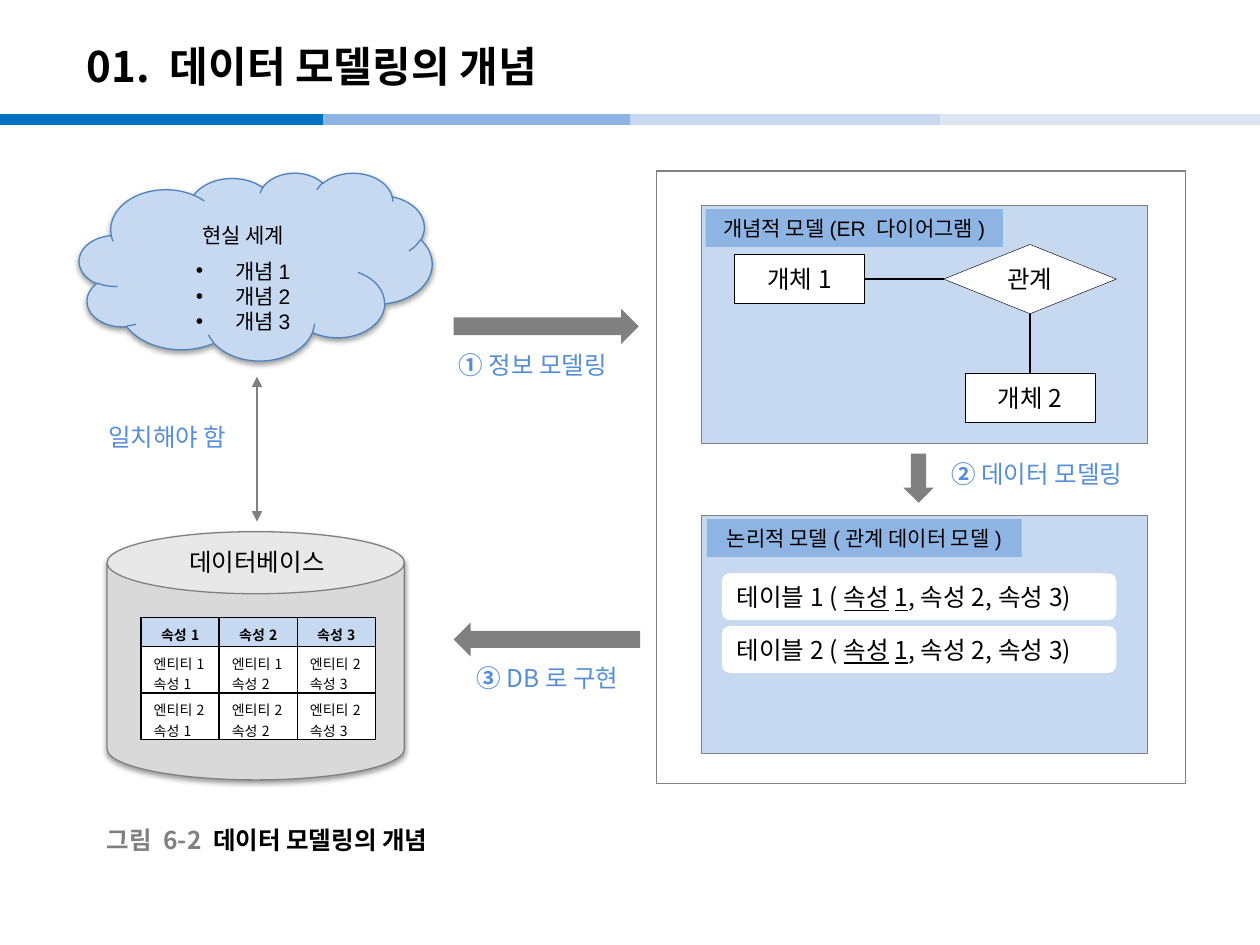
from lxml.etree import SubElement
from pptx import Presentation
from pptx.dml.color import RGBColor
from pptx.enum.shapes import MSO_CONNECTOR, MSO_SHAPE
from pptx.enum.text import MSO_ANCHOR, PP_ALIGN
from pptx.oxml import parse_xml
from pptx.oxml.ns import nsdecls, qn
from pptx.util import Inches, Pt

INK = {name: RGBColor.from_string(code) for name, code in {
    "black": "000000", "white": "FFFFFF", "gray": "808080", "silver": "D9D9D9",
    "navy": "0070C0", "blue": "8EB4E3", "pale": "C6D9F1", "ice": "DCE6F2",
    "label": "558ED5", "edge": "4F81BD"}.items()}
SANS = "Noto Sans CJK KR"
LEFT, MID = PP_ALIGN.LEFT, PP_ALIGN.CENTER


def write(par, text, size=14, ink="black", bold=False, align=LEFT, face=SANS):
    par.text = text
    par.alignment = align
    font = par.font
    font.name, font.size, font.bold = face, Pt(size), bold
    font.color.rgb = INK[ink]
    base = par._p.pPr.find(qn("a:defRPr"))
    SubElement(base, qn("a:ea")).set("typeface", SANS)


def box(kind, at, fill="white", line=None, width=0.75, shade=False):
    item = slide.shapes.add_shape(kind, *map(Inches, at))
    item.shadow.inherit = False
    item.fill.solid()
    item.fill.fore_color.rgb = INK[fill]
    if line:
        item.line.color.rgb = INK[line]
        item.line.width = Pt(width)
    else:
        item.line.fill.background()
    if shade:
        item._element.spPr.find(qn("a:effectLst")).append(parse_xml(
            f'<a:outerShdw {nsdecls("a")} blurRad="39400" dist="20300" dir="5400000" '
            'rotWithShape="0"><a:srgbClr val="000000"><a:alpha val="38000"/>'
            '</a:srgbClr></a:outerShdw>'))
    item.text_frame.word_wrap = True
    return item


deck = Presentation()
deck.slide_width, deck.slide_height = Inches(10), Inches(7.5)
slide = deck.slides.add_slide(deck.slide_layouts[5])

title = slide.shapes.title
title.left, title.top, title.width, title.height = map(Inches, (0.59, 0.22, 8.27, 0.6))
title.text_frame.vertical_anchor = MSO_ANCHOR.MIDDLE
write(title.text_frame.paragraphs[0], "01. 데이터 모델링의 개념", 24, bold=True)

wires = [((0, 0.95), (2.56, 0.95), "navy", 6),
         ((2.56, 0.95), (5, 0.95), "blue", 6),
         ((5, 0.95), (7.46, 0.95), "pale", 6),
         ((7.46, 0.95), (10, 0.95), "ice", 6),
         ((2.04, 2.99), (2.04, 4.14), "gray", 1.5),
         ((6.86, 2.21), (7.49, 2.21), "black", 0.75),
         ((8.17, 2.49), (8.17, 2.96), "black", 0.75)]

box(MSO_SHAPE.RECTANGLE, (5.21, 1.36, 4.2, 4.86), "white", "gray", 1)
for top in (1.63, 4.09):
    box(MSO_SHAPE.RECTANGLE, (5.57, top, 3.54, 1.89), "pale", "gray")
box(MSO_SHAPE.CAN, (0.85, 4.22, 2.36, 1.97), "silver", "gray", shade=True)

box(MSO_SHAPE.RIGHT_ARROW, (3.6, 2.45, 1.47, 0.28), "gray")
box(MSO_SHAPE.RIGHT_ARROW, (3.6, 4.94, 1.48, 0.27), "gray").rotation = 180
box(MSO_SHAPE.DOWN_ARROW, (7.17, 3.6, 0.24, 0.39), "gray")

nodes = []
for kind, at, text in [
        (MSO_SHAPE.RECTANGLE, (5.83, 2.02, 1.03, 0.39), "개체1"),
        (MSO_SHAPE.FLOWCHART_DECISION, (7.49, 1.94, 1.37, 0.55), "관계"),
        (MSO_SHAPE.RECTANGLE, (7.66, 2.96, 1.03, 0.39), "개체2")]:
    node = box(kind, at, "white", "black", 0.25)
    write(node.text_frame.paragraphs[0], text, align=MID)
    nodes.append(node)

lines = []
for start, end, ink, width in wires:
    wire = slide.shapes.add_connector(
        MSO_CONNECTOR.STRAIGHT, *map(Inches, start + end))
    wire.line.color.rgb = INK[ink]
    wire.line.width = Pt(width)
    SubElement(wire._element.spPr, qn("a:effectLst"))
    lines.append(wire)
first, link, second = nodes
lines[5].begin_connect(first, 3)
lines[5].end_connect(link, 1)
lines[6].begin_connect(link, 2)
lines[6].end_connect(second, 0)
for end in ("a:headEnd", "a:tailEnd"):
    SubElement(lines[4].line._get_or_add_ln(), qn(end)).set("type", "triangle")

for at, text in [((5.6, 1.66, 2.36, 0.3), "개념적 모델(ER 다이어그램)"),
                 ((5.61, 4.12, 2.5, 0.3), "논리적 모델(관계 데이터 모델)")]:
    tag = box(MSO_SHAPE.RECTANGLE, at, "blue")
    tag.text_frame.word_wrap = False
    write(tag.text_frame.paragraphs[0], text, 12, align=MID, face="Arial")

for num in (1, 2):
    row = box(MSO_SHAPE.ROUNDED_RECTANGLE, (5.73, 4.13 + 0.42 * num, 3.13, 0.37))
    par = row.text_frame.paragraphs[0]
    write(par, f"테이블{num} (")
    key = par.add_run()
    key.text = "속성1"
    key.font.underline = True
    par.add_run().text = ",속성2,속성3)"

for at, mark, text in [((3.54, 2.73, 1.51, 0.34), "① ", "정보 모델링"),
                       ((7.45, 3.59, 1.7, 0.34), "② ", "데이터 모델링"),
                       ((3.68, 5.21, 1.75, 0.34), "③ ", "DB로 구현"),
                       ((0.75, 6.51, 2.8, 0.31), "그림 6-2 ", "데이터 모델링의 개념")]:
    note = slide.shapes.add_textbox(*map(Inches, at)).text_frame
    note.word_wrap = True
    par = note.paragraphs[0]
    step = mark[0] != "그"
    write(par, mark, ink="label" if step else "gray", bold=not step)
    run = par.add_run()
    run.text = text
    if step:
        par.runs[0].font.bold = True
    else:
        note.vertical_anchor = MSO_ANCHOR.MIDDLE
        run.font.color.rgb = INK["black"]

for at, text, ink, align in [
        ((0.76, 3.3, 1.25, 0.34), "일치해야 함", "label", LEFT),
        ((1.35, 4.29, 1.38, 0.34), "데이터베이스", "black", MID)]:
    note = slide.shapes.add_textbox(*map(Inches, at)).text_frame
    note.word_wrap = True
    write(note.paragraphs[0], text, ink=ink, align=align)

grid = slide.shapes.add_table(3, 3, *map(Inches, (1.12, 4.9, 1.86, 0.97))).table
grid.first_row = grid.horz_banding = False
for row, tall in zip(grid.rows, (0.23, 0.37, 0.37)):
    row.height = Inches(tall)
rows = [["속성1", "속성2", "속성3"],
        ["엔티티1\n속성1", "엔티티1\n속성2", "엔티티2\n속성3"],
        ["엔티티2\n속성1", "엔티티2\n속성2", "엔티티2\n속성3"]]
for r, texts in enumerate(rows):
    for c, text in enumerate(texts):
        cell = grid.cell(r, c)
        cell.margin_top, cell.margin_bottom = Inches(0.05), 0
        cell.text = text
        for par in cell.text_frame.paragraphs:
            write(par, par.text, 8, bold=r == 0, align=LEFT if r else MID)
        props = cell._tc.get_or_add_tcPr()
        for side in ("lnL", "lnR", "lnT", "lnB"):
            props.append(parse_xml(
                f'<a:{side} {nsdecls("a")} w="12700"><a:solidFill>'
                f'<a:srgbClr val="000000"/></a:solidFill></a:{side}>'))
        cell.fill.solid()
        cell.fill.fore_color.rgb = INK["white" if r else "pale"]

cloud = box(MSO_SHAPE.CLOUD, (0.63, 1.37, 2.8, 1.49), "pale", "edge", shade=True)
frame = cloud.text_frame
frame.vertical_anchor = MSO_ANCHOR.TOP
frame.margin_top, frame.margin_bottom = Inches(0.17), 0
write(frame.paragraphs[0], "현실 세계", 12, align=MID, face="Arial")
for num in (1, 2, 3):
    par = frame.add_paragraph()
    props = par._p.get_or_add_pPr()
    props.set("marL", str(Inches(0.31)))
    props.set("indent", str(-Inches(0.31)))
    if num == 1:
        par.space_before = Pt(6)
    SubElement(props, qn("a:buFont")).set("typeface", "Arial")
    SubElement(props, qn("a:buChar")).set("char", "•")
    write(par, f"개념{num}", 12, align=MID, face="Arial")

deck.save("out.pptx")
